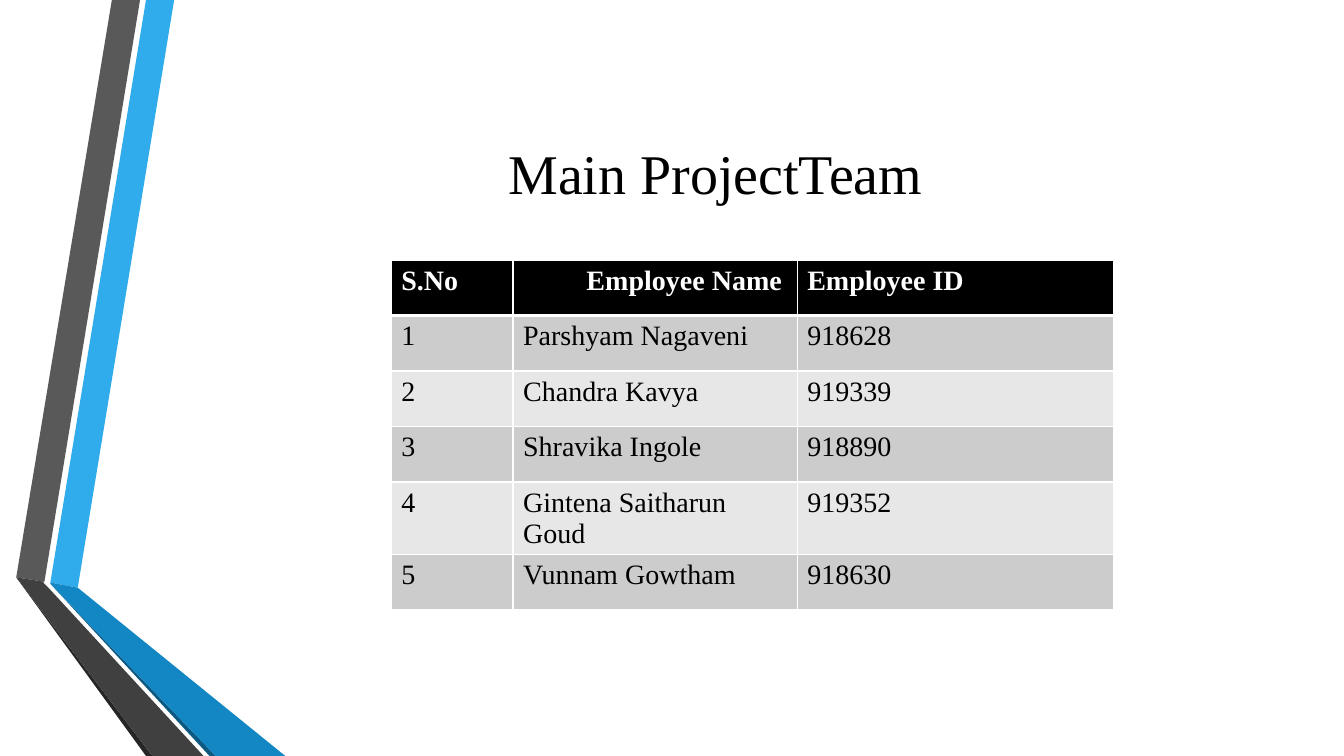
import pptx
import pptx.util
import pptx.dml.color
import pptx.enum.text
from lxml import etree
from pptx.util import Cm

FONT = "Times New Roman"
NS = "http://schemas.openxmlformats.org/drawingml/2006/main"

# Folded ribbons: fill and corner points in cm
RIBBONS = [
    ("30ACEC", [(1.27, 14.68), (1.96, 14.81), (4.39, 0), (3.68, 0)]),
    ("595959", [(3.53, 0), (2.82, 0), (0.41, 14.55), (1.12, 14.66)]),
    ("262626", [(0.41, 14.55), (3.68, 19.05), (3.84, 19.05)]),
    ("0C5A82", [(1.27, 14.71), (5.28, 19.05), (5.44, 19.05)]),
    ("1287C3", [(1.27, 14.71), (5.44, 19.05), (7.19, 19.05),
                (1.96, 14.81), (1.27, 14.68)]),
    ("404040", [(5.13, 19.05), (1.22, 14.81), (1.09, 14.68),
                (1.12, 14.66), (0.41, 14.55), (3.84, 19.05)]),
]

TEAM = [
    ("S.No", "Employee Name", "Employee ID"),
    ("1", "Parshyam Nagaveni", "918628"),
    ("2", "Chandra Kavya", "919339"),
    ("3", "Shravika Ingole", "918890"),
    ("4", "Gintena Saitharun Goud", "919352"),
    ("5", "Vunnam Gowtham", "918630"),
]
COLUMN_WIDTHS = [3.07, 7.16, 7.98]
ROW_HEIGHT = 1.4


def rgb(value):
    return pptx.dml.color.RGBColor.from_string(value)


def add_run(p, text, size, color, bold=False):
    r = p.add_run()
    r.text = text
    r.font.name = FONT
    r.font.size = pptx.util.Pt(size)
    r.font.bold = bold
    r.font.color.rgb = rgb(color)


def add_ribbon(s, color, points):
    corners = [(Cm(x), Cm(y)) for x, y in points]
    builder = s.shapes.build_freeform(*corners[0], scale=1.0)
    builder.add_line_segments(corners[1:], close=True)
    sp = builder.convert_to_shape()
    sp.shadow.inherit = False
    sp.fill.solid()
    sp.fill.fore_color.rgb = rgb(color)
    sp.line.fill.background()


def add_title(s, text):
    sp = s.shapes.title
    sp.left, sp.top, sp.width, sp.height = Cm(4.11), Cm(1.9), Cm(27.84), Cm(4.88)
    tf = sp.text_frame
    tf.vertical_anchor = pptx.enum.text.MSO_ANCHOR.MIDDLE
    p = tf.paragraphs[0]
    p.alignment = pptx.enum.text.PP_ALIGN.CENTER
    add_run(p, text, 40, "000000")


def set_borders(cell, top, bottom):
    """White borders; widths in points."""
    tc_pr = cell._tc.get_or_add_tcPr()
    for side, width in (("L", 1), ("R", 1), ("T", top), ("B", bottom)):
        ln = etree.SubElement(tc_pr, f"{{{NS}}}ln{side}", w=str(pptx.util.Pt(width)))
        fill = etree.SubElement(ln, f"{{{NS}}}solidFill")
        etree.SubElement(fill, f"{{{NS}}}srgbClr", val="FFFFFF")


def add_table(s, rows):
    frame = s.shapes.add_table(len(rows), len(COLUMN_WIDTHS), Cm(9.86), Cm(6.55),
                               Cm(sum(COLUMN_WIDTHS)), Cm(ROW_HEIGHT * len(rows)))
    table = frame.table
    for column, width in zip(table.columns, COLUMN_WIDTHS):
        column.width = Cm(width)
    for i, values in enumerate(rows):
        table.rows[i].height = Cm(ROW_HEIGHT)
        header = i == 0
        band = "000000" if header else ("E7E7E7", "CCCCCC")[i % 2]
        for j, value in enumerate(values):
            cell = table.cell(i, j)
            set_borders(cell, 3 if i == 1 else 1, 3 if header else 1)
            cell.fill.solid()
            cell.fill.fore_color.rgb = rgb(band)
            add_run(cell.text_frame.paragraphs[0], value, 20,
                    "FFFFFF" if header else "000000", header)
    # The name heading is indented
    table.cell(0, 1).margin_left = Cm(1.85)


def main():
    prs = pptx.Presentation()
    prs.slide_width, prs.slide_height = Cm(33.87), Cm(19.05)
    s = prs.slides.add_slide(prs.slide_layouts[5])

    # Decoration on the left edge
    for color, points in RIBBONS:
        add_ribbon(s, color, points)

    # Title and team list
    add_title(s, "Main ProjectTeam")
    add_table(s, TEAM)
    prs.save("out.pptx")


if __name__ == "__main__":
    main()
